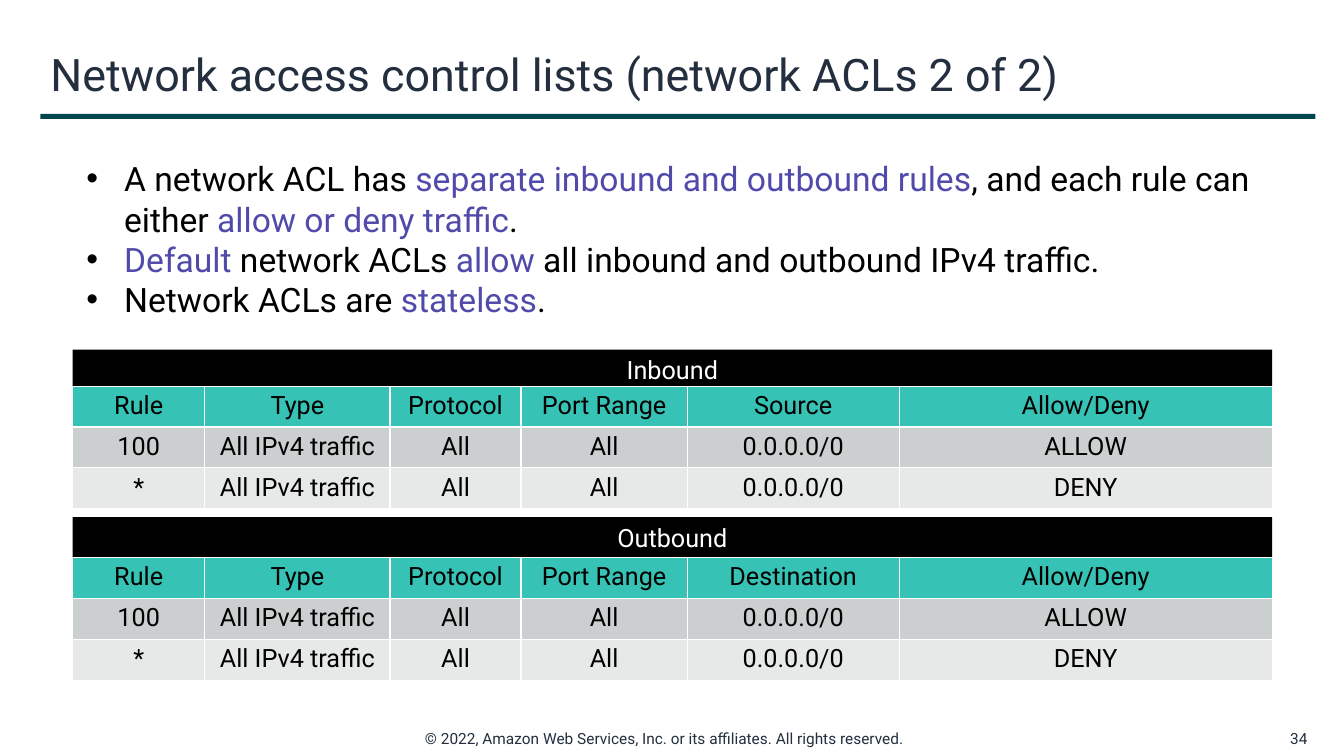
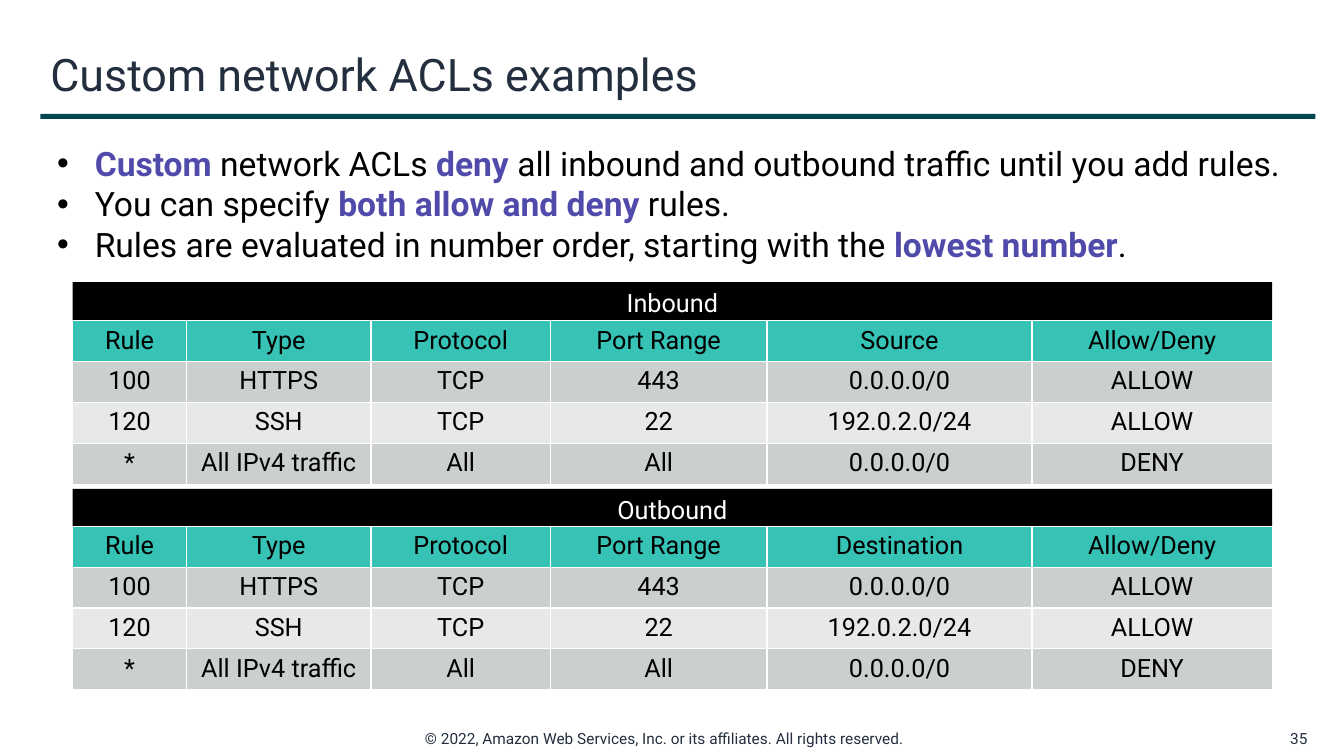
from dataclasses import dataclass

from lxml import etree
from pptx import Presentation
from pptx.dml.color import RGBColor
from pptx.enum.shapes import MSO_SHAPE
from pptx.enum.text import MSO_ANCHOR, PP_ALIGN
from pptx.oxml.ns import qn
from pptx.util import Cm, Pt

RECT = MSO_SHAPE.RECTANGLE
TOP, MIDDLE = MSO_ANCHOR.TOP, MSO_ANCHOR.MIDDLE
LEFT, CENTER, RIGHT = PP_ALIGN.LEFT, PP_ALIGN.CENTER, PP_ALIGN.RIGHT


@dataclass(frozen=True)
class Theme:
    font: str = "Roboto"
    title_size: int = 32
    body_size: int = 24
    table_size: int = 18
    footer_size: int = 11
    ink: str = "232F3E"
    line: str = "00464F"
    text: str = "000000"
    accent: str = "504BAB"
    white: str = "FFFFFF"
    header: str = "36C2B4"
    stripes: tuple = ("CCCFD0", "E7E9E9")


THEME = Theme()

# Boxes are left, top, width, height in centimetres
TITLE_BOX = (1.02, 0.84, 32.13, 2.03)
RULE_BOX = (1.02, 2.87, 32.13, 0.13)
FOOTER_BOX = (10.46, 18.24, 12.93, 0.74)
NUMBER_BOX = (31.85, 18.24, 1.35, 0.74)
PANEL_LEFT, PANEL_WIDTH = 1.83, 30.23
BAND_HEIGHT, ROW_HEIGHT = 1.02, 1.03
BULLET_INDENT = 0.95

COPYRIGHT = "© 2022, Amazon Web Services, Inc. or its affiliates. All rights reserved."
ADDRESS_HEADS = {"Inbound": "Source", "Outbound": "Destination"}

SLIDES = [
    dict(
        number=34,
        title="Network access control lists (network ACLs 2 of 2)",
        bullet_box=(1.93, 3.86, 31.57, 4.37),
        # Text between bars is emphasised
        bullets=[
            "A network ACL has |separate inbound and outbound rules|, and each rule can "
            "either |allow or deny traffic|.",
            "|Default| network ACLs |allow| all inbound and outbound IPv4 traffic.",
            "Network ACLs are |stateless|.",
        ],
        bold_accent=False,
        # Panel name, top of its band, top of its table
        panels=[("Inbound", 8.81, 9.73), ("Outbound", 13.03, 14.05)],
        widths=[3.33, 4.67, 3.3, 4.19, 5.34, 9.4],
        rules=[
            ("100", "All IPv4 traffic", "All", "All", "0.0.0.0/0", "ALLOW"),
            ("*", "All IPv4 traffic", "All", "All", "0.0.0.0/0", "DENY"),
        ],
    ),
    dict(
        number=35,
        title="Custom network ACLs examples",
        bullet_box=(1.19, 3.48, 31.5, 3.33),
        bullets=[
            "|Custom| network ACLs |deny |all inbound and outbound traffic until you add rules.",
            "You can specify |both allow and deny |rules.",
            "Rules are evaluated in number order, starting with the |lowest number|.",
        ],
        bold_accent=True,
        panels=[("Inbound", 7.11, 8.08), ("Outbound", 12.32, 13.26)],
        widths=[2.87, 4.65, 4.52, 5.46, 6.68, 6.05],
        rules=[
            ("100", "HTTPS", "TCP", "443", "0.0.0.0/0", "ALLOW"),
            ("120", "SSH", "TCP", "22", "192.0.2.0/24", "ALLOW"),
            ("*", "All IPv4 traffic", "All", "All", "0.0.0.0/0", "DENY"),
        ],
    ),
]


def cm_box(box):
    return [Cm(v) for v in box]


def style_run(r, size, color, bold=False):
    r.font.name = THEME.font
    r.font.size = Pt(size)
    r.font.bold = bold
    r.font.color.rgb = RGBColor.from_string(color)


def set_text(tf, text, size, color, align):
    tf.text = text
    p = tf.paragraphs[0]
    p.alignment = align
    style_run(p.runs[0], size, color)


def add_text_frame(slide, box, anchor=TOP):
    tf = slide.shapes.add_textbox(*cm_box(box)).text_frame
    tf.word_wrap = True
    tf.vertical_anchor = anchor
    return tf


def add_bar(slide, box, color):
    sp = slide.shapes.add_shape(RECT, *cm_box(box))
    sp.shadow.inherit = False
    sp.fill.solid()
    sp.fill.fore_color.rgb = RGBColor.from_string(color)
    sp.line.fill.background()
    return sp


def add_frame(slide, title, number):
    """Title, rule and footer shared by every slide."""
    add_bar(slide, RULE_BOX, THEME.line)
    for box, text, size, align, anchor in (
        (FOOTER_BOX, COPYRIGHT, THEME.footer_size, LEFT, TOP),
        (NUMBER_BOX, str(number), THEME.footer_size, RIGHT, MIDDLE),
        (TITLE_BOX, title, THEME.title_size, LEFT, MIDDLE),
    ):
        set_text(add_text_frame(slide, box, anchor), text, size, THEME.ink, align)


def set_bullet(p):
    pPr = p._p.get_or_add_pPr()
    pPr.set("marL", str(Cm(BULLET_INDENT)))
    pPr.set("indent", str(-Cm(BULLET_INDENT)))
    color = etree.SubElement(pPr, qn("a:buClr"))
    etree.SubElement(color, qn("a:srgbClr"), val=THEME.text)
    etree.SubElement(pPr, qn("a:buFont"), typeface="Arial")
    etree.SubElement(pPr, qn("a:buChar"), char="•")


def add_bullets(slide, box, bullets, bold_accent):
    tf = add_text_frame(slide, box)
    for i, bullet in enumerate(bullets):
        p = tf.add_paragraph() if i else tf.paragraphs[0]
        set_bullet(p)
        for j, part in enumerate(bullet.split("|")):
            if part:
                r = p.add_run()
                r.text = part
                accent = j % 2 == 1
                style_run(r, THEME.body_size, THEME.accent if accent else THEME.text,
                          accent and bold_accent)


def style_cell(cell, text, fill):
    set_text(cell.text_frame, text, THEME.table_size, THEME.text, CENTER)
    # Borders come before the fill in the cell properties
    tcPr = cell._tc.get_or_add_tcPr()
    for side in ("a:lnL", "a:lnR", "a:lnT", "a:lnB"):
        ln = etree.SubElement(tcPr, qn(side), w=str(Pt(1)))
        solid = etree.SubElement(ln, qn("a:solidFill"))
        etree.SubElement(solid, qn("a:srgbClr"), val=THEME.white)
    cell.fill.solid()
    cell.fill.fore_color.rgb = RGBColor.from_string(fill)


def add_panel(slide, name, band_top, table_top, widths, rules):
    """Black band with the rule table below it."""
    band = add_bar(slide, (PANEL_LEFT, band_top, PANEL_WIDTH, BAND_HEIGHT), THEME.text)
    band.text_frame.vertical_anchor = MIDDLE
    set_text(band.text_frame, name, THEME.table_size, THEME.white, CENTER)

    heads = ("Rule", "Type", "Protocol", "Port Range", ADDRESS_HEADS[name], "Allow/Deny")
    rows = [heads, *rules]
    box = (PANEL_LEFT, table_top, PANEL_WIDTH, ROW_HEIGHT * len(rows))
    table = slide.shapes.add_table(len(rows), len(heads), *cm_box(box)).table
    table.horz_banding = False
    for column, width in zip(table.columns, widths):
        column.width = Cm(width)
    for i, row in enumerate(rows):
        table.rows[i].height = Cm(ROW_HEIGHT)
        fill = THEME.stripes[(i - 1) % 2] if i else THEME.header
        for j, text in enumerate(row):
            style_cell(table.cell(i, j), text, fill)


def add_rules_slide(prs, content):
    slide = prs.slides.add_slide(prs.slide_layouts[6])
    add_frame(slide, content["title"], content["number"])
    add_bullets(slide, content["bullet_box"], content["bullets"], content["bold_accent"])
    for name, band_top, table_top in content["panels"]:
        add_panel(slide, name, band_top, table_top, content["widths"], content["rules"])


def main():
    prs = Presentation()
    prs.slide_width, prs.slide_height = Cm(33.87), Cm(19.05)
    for content in SLIDES:
        add_rules_slide(prs, content)
    prs.save("out.pptx")


if __name__ == "__main__":
    main()
